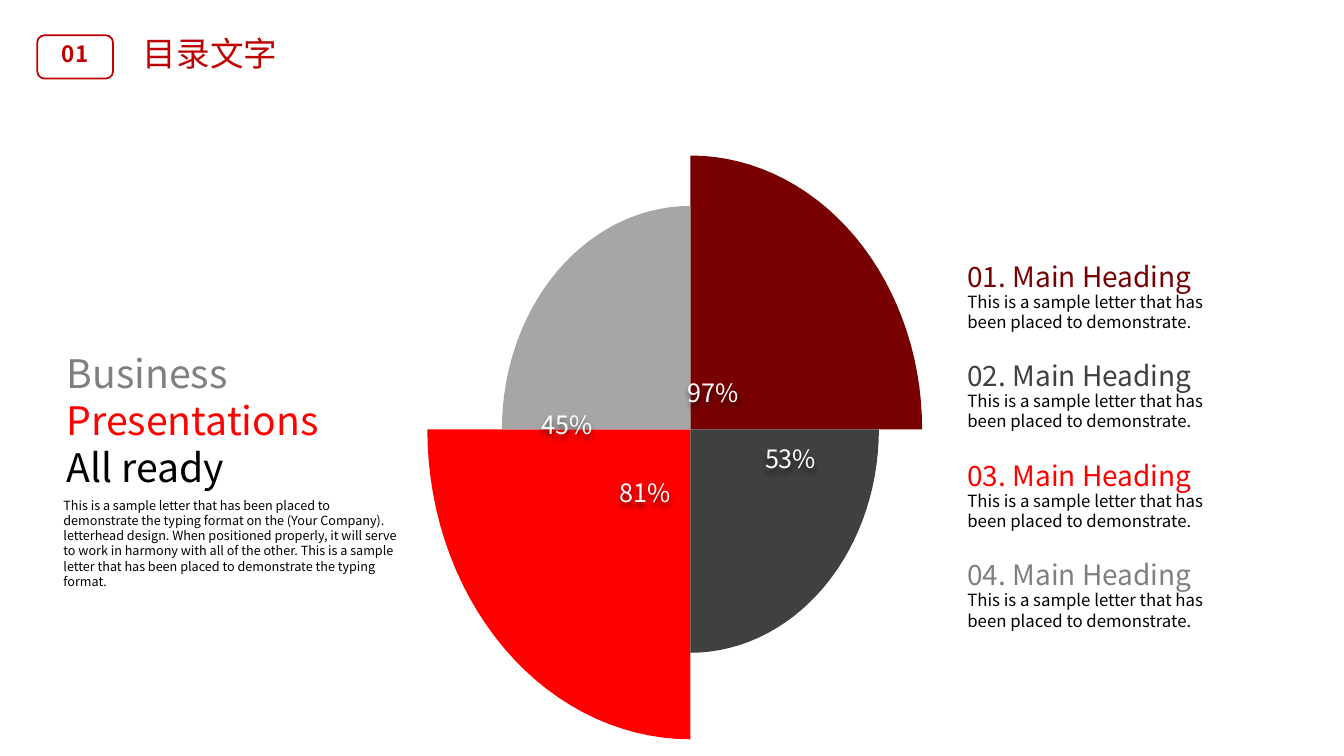
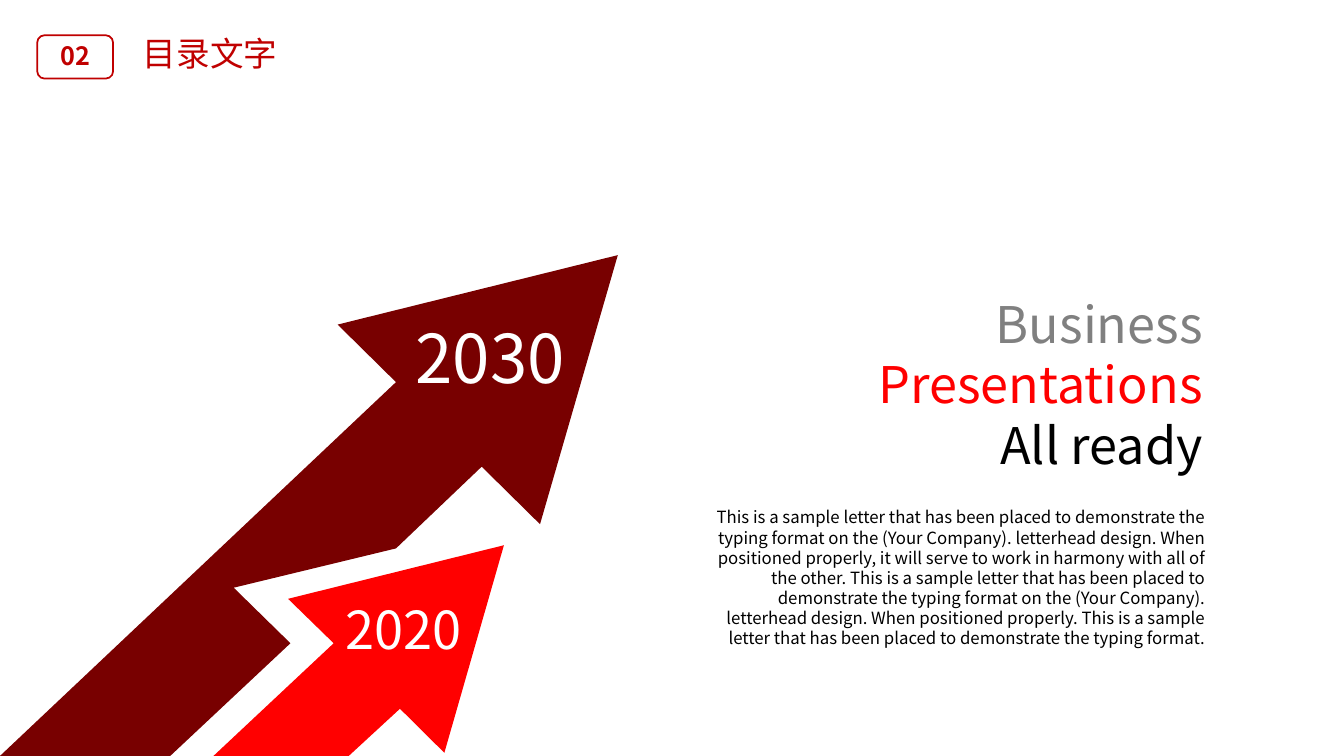
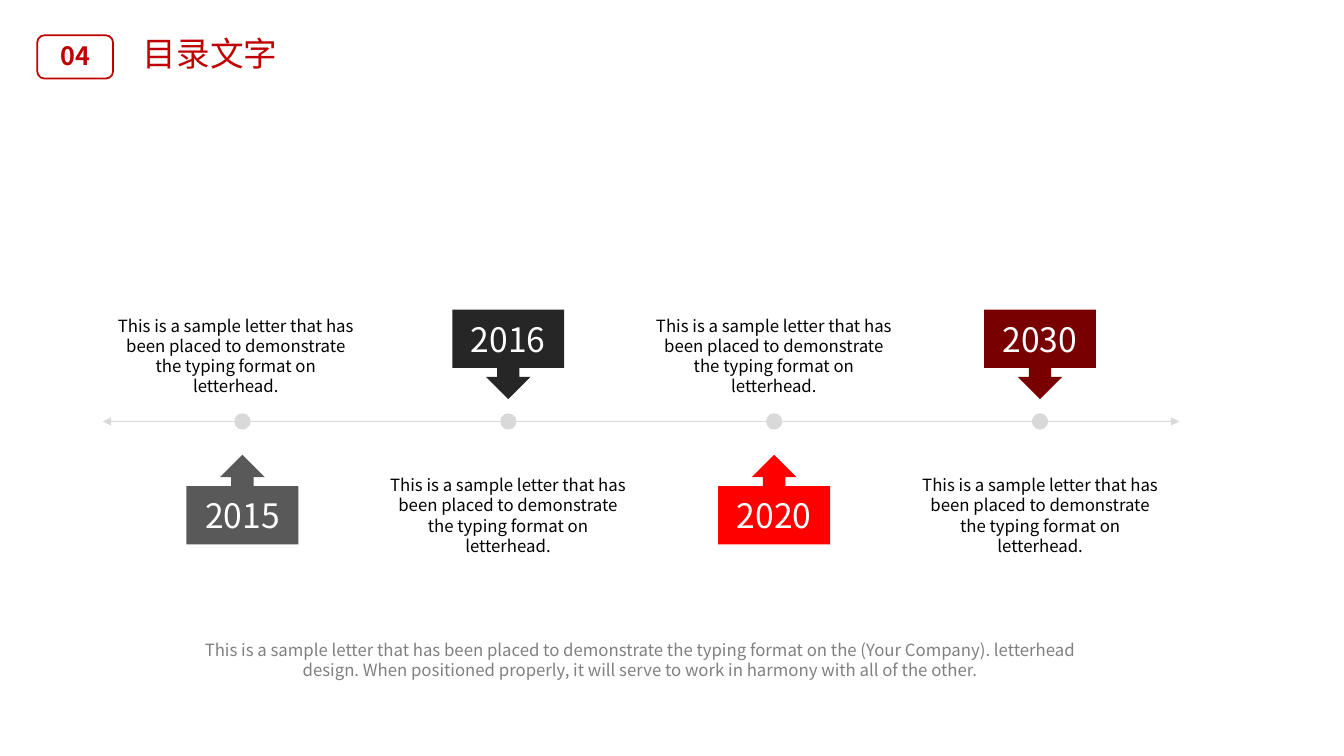
import math
from dataclasses import dataclass

from lxml import etree
from pptx import Presentation
from pptx import util as u
from pptx.dml.color import RGBColor
from pptx.enum import shapes, text
from pptx.oxml.ns import qn


@dataclass(frozen=True)
class Theme:
    font: str = "Noto Sans CJK SC"
    title_red: str = "C00000"
    red: str = "FF0000"
    maroon: str = "780000"
    ink: str = "262626"
    charcoal: str = "404040"
    slate: str = "595959"
    grey: str = "808080"
    silver: str = "A6A6A6"
    rule: str = "D9D9D9"
    black: str = "000000"
    white: str = "FFFFFF"
    small: float = 9
    body: float = 12
    percent: float = 18
    heading: float = 20
    title: float = 24
    leading: float = 1.2


theme = Theme()
LEFT, CENTER, RIGHT = text.PP_ALIGN.LEFT, text.PP_ALIGN.CENTER, text.PP_ALIGN.RIGHT
TOP, MIDDLE = text.MSO_ANCHOR.TOP, text.MSO_ANCHOR.MIDDLE


def write(shape, lines, size, align=LEFT, anchor=TOP, bold=False, inset=(0.25, 0.13)):
    """Fill a shape with (text, colour) lines, one paragraph each."""
    frame = shape.text_frame
    frame.word_wrap = True
    frame.auto_size = text.MSO_AUTO_SIZE.NONE
    frame.vertical_anchor = anchor
    frame.margin_left = frame.margin_right = u.Cm(inset[0])
    frame.margin_top = frame.margin_bottom = u.Cm(inset[1])
    for i, (words, color) in enumerate(lines):
        paragraph = frame.paragraphs[0] if i == 0 else frame.add_paragraph()
        paragraph.text = words
        paragraph.alignment = align
        paragraph.space_before = paragraph.space_after = u.Pt(0)
        paragraph.line_spacing = u.Pt(size * theme.leading)
        paragraph.font.size = u.Pt(size)
        paragraph.font.bold = bold
        paragraph.font.name = theme.font
        paragraph.font.color.rgb = RGBColor.from_string(color)
    for latin in list(shape.element.iter(qn("a:latin"))):
        east_asian = etree.Element(qn("a:ea"), typeface=theme.font)
        latin.addnext(east_asian)


def paint(shape, fill):
    """Give a shape a flat fill, without outline or shadow."""
    shape.shadow.inherit = False
    shape.line.fill.background()
    shape.fill.solid()
    shape.fill.fore_color.rgb = RGBColor.from_string(fill)


deck = Presentation()
deck.slide_width, deck.slide_height = u.Cm(33.87), u.Cm(19.05)
title_only = deck.slide_layouts[5]

# Shared header: number tag and title
slides = []
for number, size in (("01", 16), ("02", 18), ("04", 18)):
    slide = deck.slides.add_slide(title_only)
    title = slide.shapes.title
    title.left, title.top = u.Cm(3.35), u.Cm(0.69)
    title.width, title.height = u.Cm(4.22), u.Cm(1.27)
    write(title, [("目录文字", theme.title_red)], theme.title)
    tag = slide.shapes.add_shape(shapes.MSO_SHAPE.ROUNDED_RECTANGLE,
                                 u.Cm(0.94), u.Cm(0.89), u.Cm(1.91), u.Cm(1.09))
    tag.shadow.inherit = False
    tag.fill.background()
    tag.line.color.rgb = RGBColor.from_string(theme.title_red)
    tag.line.width = u.Pt(1.25)
    write(tag, [(number, theme.title_red)], size, CENTER, bold=True, inset=(0.1, 0.08))
    slides.append(slide)
share, growth, timeline = slides

# Wording used on several slides
slogan = [("Business", theme.grey), ("Presentations", theme.red), ("All ready", theme.black)]
sample = "This is a sample letter that has been placed to demonstrate"
company = f"{sample} the typing format on the (Your Company). letterhead design."
harmony = (f"{company} When positioned properly, it will serve to work in harmony "
           "with all of the other.")
closing = f"{sample} the typing format."

# Slide 1: slogan and introduction
slogan_box = share.shapes.add_textbox(u.Cm(1.35), u.Cm(9.02), u.Cm(10.16), u.Cm(3.1))
write(slogan_box, slogan, 28, anchor=MIDDLE, inset=(0.33, 0.18))
intro = share.shapes.add_textbox(u.Cm(1.35), u.Cm(12.42), u.Cm(9.04), u.Cm(2.57))
write(intro, [(f"{harmony} {closing}", theme.black)], theme.small)

# Slide 1: quarter ellipses around one centre, radii signed by direction
center_x, center_y = 17.4, 10.82
quarters = (
    (-6.63, 7.81, theme.red),
    (5.84, -6.9, theme.maroon),
    (-4.75, -5.63, theme.silver),
    (4.75, 5.63, theme.charcoal),
)
steps = 30
for radius_x, radius_y, color in quarters:
    arc = []
    for step in range(steps + 1):
        angle = math.pi / 2 * step / steps
        arc.append((u.Cm(center_x + radius_x * math.cos(angle)),
                    u.Cm(center_y + radius_y * math.sin(angle))))
    outline = share.shapes.build_freeform(u.Cm(center_x), u.Cm(center_y))
    outline.add_line_segments(arc, close=True)
    paint(outline.convert_to_shape(), color)

# Slide 1: percentages with a soft shadow
for percent, left, top in (("97%", 16.71, 9.37), ("53%", 18.67, 11.05),
                           ("45%", 13.03, 10.19), ("81%", 15.01, 11.89)):
    figure = share.shapes.add_textbox(u.Cm(left), u.Cm(top), u.Cm(2.51), u.Cm(1.02))
    write(figure, [(percent, theme.white)], theme.percent, CENTER)
    effects = etree.SubElement(figure.element.spPr, qn("a:effectLst"))
    shadow = etree.SubElement(effects, qn("a:outerShdw"), blurRad="50800",
                              dist="38100", dir="5400000", algn="t", rotWithShape="0")
    shade = etree.SubElement(shadow, qn("a:srgbClr"), val=theme.black)
    etree.SubElement(shade, qn("a:alpha"), val="50000")

# Slide 1: numbered headings
for i, color in enumerate((theme.maroon, theme.charcoal, theme.red, theme.grey)):
    top = 6.4 + 2.51 * i
    detail = share.shapes.add_textbox(u.Cm(24.13), u.Cm(top + 0.81), u.Cm(6.73), u.Cm(1.27))
    write(detail, [(f"{sample}.", theme.black)], theme.body)
    heading = share.shapes.add_textbox(u.Cm(24.13), u.Cm(top), u.Cm(9.2), u.Cm(1.12))
    write(heading, [(f"{i + 1:02d}. Main Heading", color)], theme.heading)

# Slide 2: rising arrows
large_arrow = ((15.57, 6.43), (8.51, 8.18), (9.98, 9.63), (0, 19.05), (4.29, 19.05),
               (7.32, 16.21), (5.89, 14.81), (9.98, 13.82), (12.14, 11.76), (13.61, 13.21))
small_arrow = ((12.7, 13.74), (7.26, 15.09), (8.41, 16.21), (5.38, 19.05),
               (8.79, 19.05), (10.08, 17.86), (11.2, 18.97))
for points, color in ((large_arrow, theme.maroon), (small_arrow, theme.red)):
    corners = [(u.Cm(x), u.Cm(y)) for x, y in points]
    outline = growth.shapes.build_freeform(*corners[0])
    outline.add_line_segments(corners[1:], close=True)
    paint(outline.convert_to_shape(), color)

for year, left, top, height, size in (("2030", 10.03, 7.85, 2.31, 48),
                                      ("2020", 7.85, 14.91, 1.85, 37.4)):
    year_box = growth.shapes.add_textbox(u.Cm(left), u.Cm(top), u.Cm(4.65), u.Cm(height))
    write(year_box, [(year, theme.white)], size, CENTER)

# Slide 2: slogan and description
slogan_box = growth.shapes.add_textbox(u.Cm(18.42), u.Cm(6.71), u.Cm(12.22), u.Cm(5.92))
write(slogan_box, slogan, 36, RIGHT, MIDDLE, inset=(0.33, 0.18))
description = growth.shapes.add_textbox(u.Cm(17.5), u.Cm(12.65), u.Cm(13.13), u.Cm(4.37))
write(description, [(f"{harmony} {company} When positioned properly. {closing}", theme.black)],
      theme.body, RIGHT)

# Slide 3: axis with an arrowhead at each end
axis_y = 10.62
axis = timeline.shapes.add_connector(shapes.MSO_CONNECTOR.STRAIGHT,
                                     u.Cm(2.59), u.Cm(axis_y), u.Cm(29.72), u.Cm(axis_y))
axis.line.color.rgb = RGBColor.from_string(theme.rule)
axis.line.width = u.Pt(0.75)
axis_line = axis.element.spPr.find(qn("a:ln"))
for end in ("a:headEnd", "a:tailEnd"):
    etree.SubElement(axis_line, qn(end), type="triangle")
etree.SubElement(axis.element.spPr, qn("a:effectLst"))

# Slide 3: milestones, alternating below and above the axis
dot = 0.41
milestones = (("2015", theme.slate, 2.59), ("2016", theme.ink, 9.45),
              ("2020", theme.red, 16.15), ("2030", theme.maroon, 22.86))
for i, (year, color, note_left) in enumerate(milestones):
    x = 6.11 + 6.7 * i
    if i % 2 == 0:
        callout, callout_top, note_top = shapes.MSO_SHAPE.UP_ARROW_CALLOUT, 11.46, 7.82
    else:
        callout, callout_top, note_top = shapes.MSO_SHAPE.DOWN_ARROW_CALLOUT, 7.8, 11.84
    marker = timeline.shapes.add_shape(shapes.MSO_SHAPE.OVAL, u.Cm(x - dot / 2),
                                       u.Cm(axis_y - dot / 2), u.Cm(dot), u.Cm(dot))
    paint(marker, theme.rule)
    flag = timeline.shapes.add_shape(callout, u.Cm(x - 1.41), u.Cm(callout_top),
                                     u.Cm(2.82), u.Cm(2.26))
    paint(flag, color)
    write(flag, [(year, theme.white)], theme.title, CENTER, MIDDLE)
    note = timeline.shapes.add_textbox(u.Cm(note_left), u.Cm(note_top), u.Cm(6.71), u.Cm(2.31))
    write(note, [(f"{sample} the typing format on letterhead.", theme.black)],
          theme.body, CENTER)

# Slide 3: summary
summary = timeline.shapes.add_textbox(u.Cm(4.29), u.Cm(15.98), u.Cm(23.7), u.Cm(1.27))
write(summary, [(harmony, theme.grey)], theme.body, CENTER)

deck.save("out.pptx")
